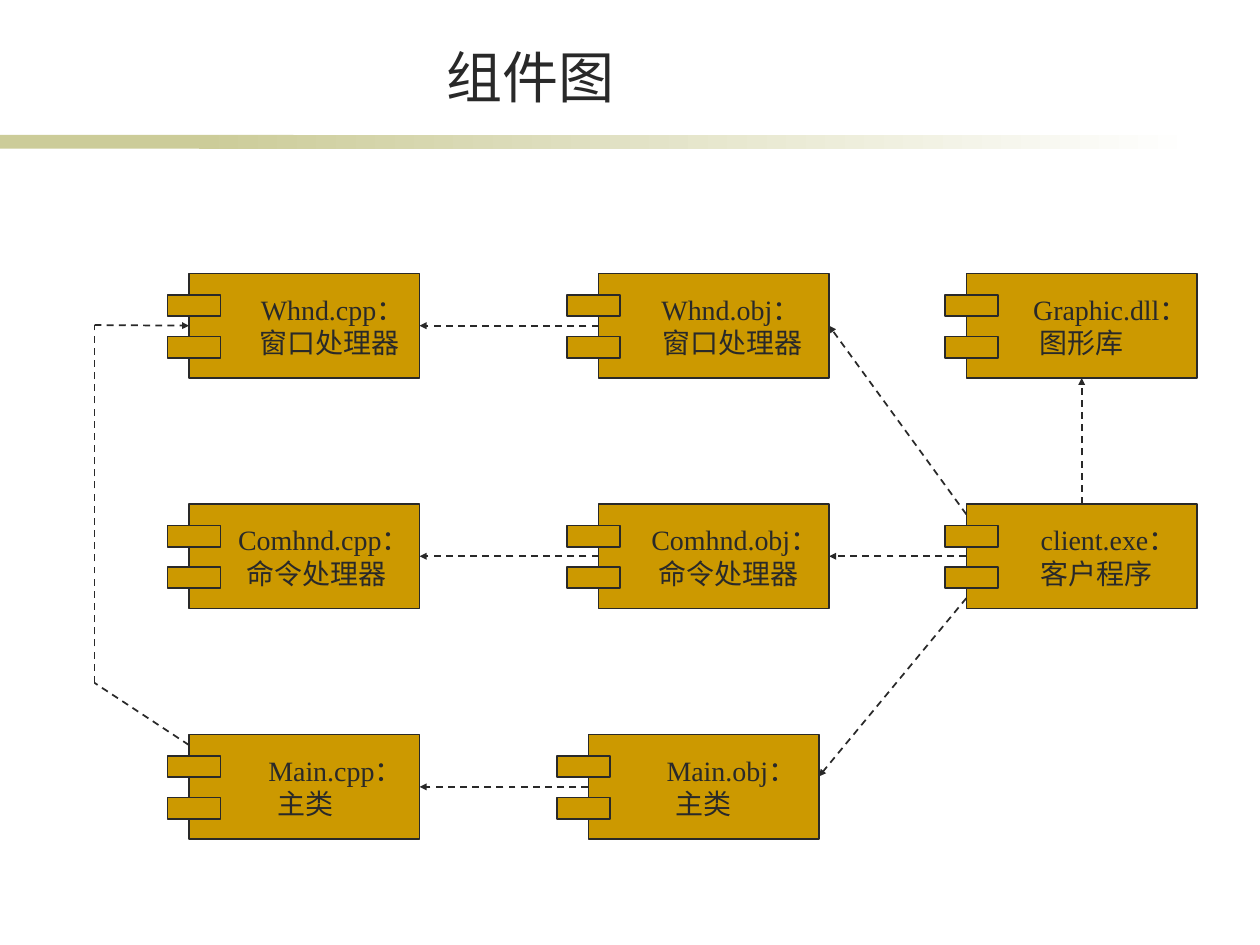
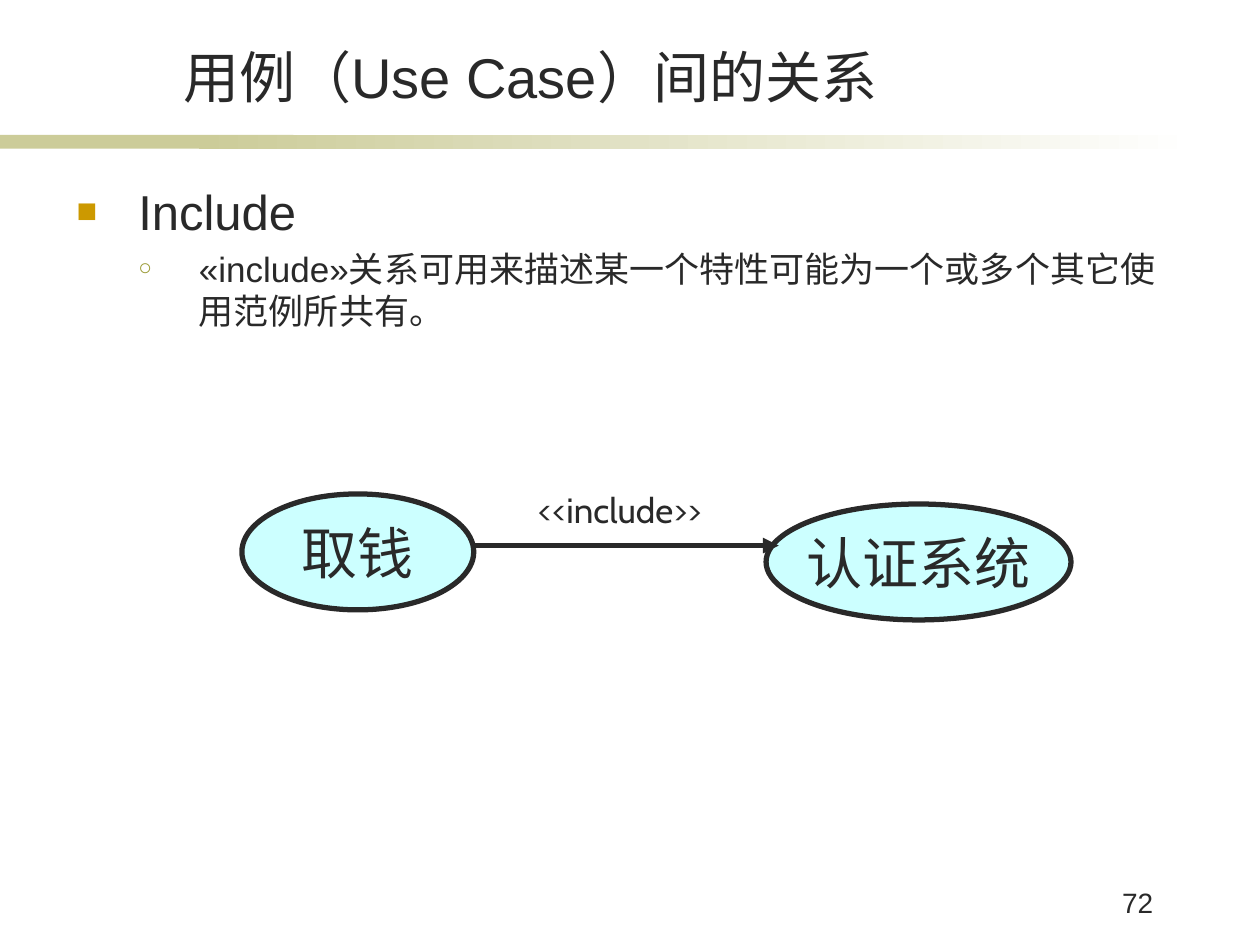
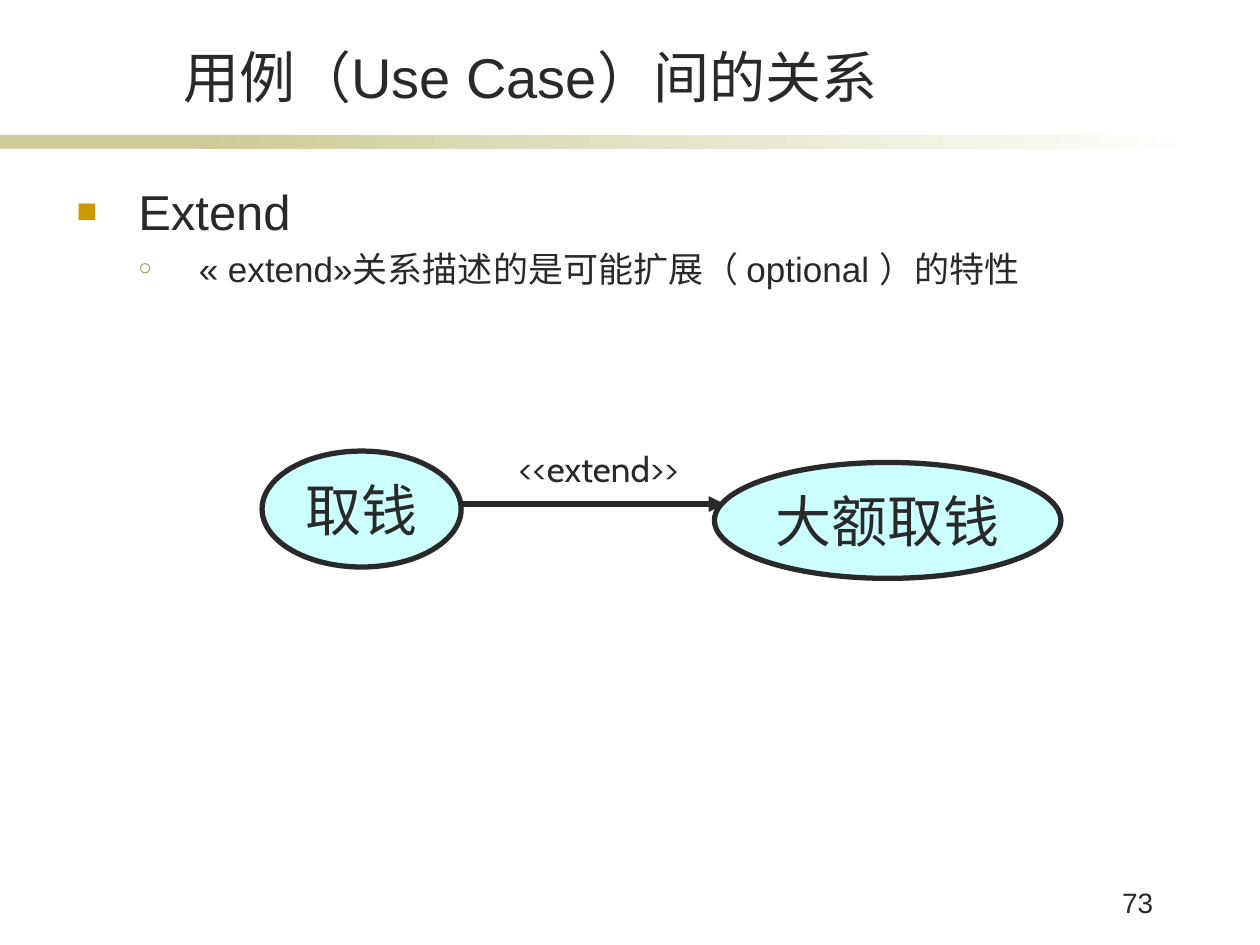
"""Build three UML slides: a component diagram and two use case relations."""
from lxml import etree
from pptx import Presentation
from pptx.dml.color import RGBColor
from pptx.enum.dml import MSO_LINE
from pptx.enum.shapes import MSO_CONNECTOR, MSO_SHAPE
from pptx.enum.text import MSO_ANCHOR, MSO_AUTO_SIZE, PP_ALIGN
from pptx.oxml.ns import qn
from pptx.util import Inches, Pt

INK, GOLD, OLIVE, SAND, CYAN, WHITE = "292929", "CC9900", "999933", "CCCC99", "CCFFFF", "FFFFFF"
SERIF, SANS, LABEL = "Times New Roman", "Arial", "Cabin"

BOX_W, BOX_H = 1.83, 0.83
TAB_W, TAB_H = 0.42, 0.17
ROWS = (2.17, 4, 5.83)

# name: (left, row, tab overhang, ((line, indent), (line, indent)))
COMPONENTS = {
    "whnd_cpp": (1.5, 0, 0.17, (("Whnd.cpp：", 0.57), ("窗口处理器", 0.56))),
    "comhnd_cpp": (1.5, 1, 0.17, (("Comhnd.cpp：", 0.39), ("命令处理器", 0.46))),
    "main_cpp": (1.5, 2, 0.17, (("Main.cpp：", 0.63), ("主类", 0.7))),
    "whnd_obj": (4.75, 0, 0.25, (("Whnd.obj：", 0.5), ("窗口处理器", 0.51))),
    "comhnd_obj": (4.75, 1, 0.25, (("Comhnd.obj：", 0.42), ("命令处理器", 0.48))),
    "main_obj": (4.67, 2, 0.25, (("Main.obj：", 0.62), ("主类", 0.69))),
    "graphic_dll": (7.67, 0, 0.17, (("Graphic.dll：", 0.53), ("图形库", 0.58))),
    "client_exe": (7.67, 1, 0.17, (("client.exe：", 0.59), ("客户程序", 0.59))),
}

LEFT, RIGHT, TOP, BOTTOM = (0, 0.5), (1, 0.5), (0.5, 0), (0.5, 1)
UPPER_LEFT, LOWER_LEFT = (0, 0.1), (0, 0.9)
DEPENDENCIES = [
    ("main_obj", LEFT, "main_cpp", RIGHT),
    ("comhnd_obj", LEFT, "comhnd_cpp", RIGHT),
    ("whnd_obj", LEFT, "whnd_cpp", RIGHT),
    ("client_exe", LEFT, "comhnd_obj", RIGHT),
    ("client_exe", TOP, "graphic_dll", BOTTOM),
    ("client_exe", LOWER_LEFT, "main_obj", (1, 0.4)),
    ("client_exe", UPPER_LEFT, "whnd_obj", RIGHT),
]
DETOUR = [(0.75, 5.42), (0.75, 2.58)]

RELATION_TITLE = "用例（Use Case）间的关系"
RELATIONS = [
    {
        "heading": "Include",
        "detail": "«include»关系可用来描述某一个特性可能为一个或多个其它使用范例所共有。",
        "page": "72",
        "cases": [("取钱", (1.92, 3.92, 1.84, 0.92)), ("认证系统", (6.08, 4, 2.42, 0.92))],
        "arrow": ((3.76, 4.33), (6.18, 4.33)),
        "label": ("<<include>>", (3.95, 3.83, 1.94, 0.43)),
    },
    {
        "heading": "Extend",
        "detail": "« extend»关系描述的是可能扩展（ optional ）的特性",
        "page": "73",
        "cases": [("取钱", (2.08, 3.58, 1.58, 0.92)), ("大额取钱", (5.67, 3.67, 2.75, 0.92))],
        "arrow": ((3.67, 4), (5.75, 4)),
        "label": ("<<extend>>", (3.5, 3.5, 2.5, 0.43)),
    },
]


def rgb(color):
    return RGBColor.from_string(color)


def add_run(p, text, size, font, align=None):
    p.alignment = align
    r = p.add_run()
    r.text = text
    r.font.size = Pt(size)
    r.font.name = font
    r.font.color.rgb = rgb(INK)


def add_box(s, kind, at, fill, line=None):
    sp = s.shapes.add_shape(kind, *map(Inches, at))
    sp.shadow.inherit = False
    sp.fill.solid()
    sp.fill.fore_color.rgb = rgb(fill)
    if line:
        sp.line.color.rgb = rgb(INK)
        sp.line.width = Pt(line)
    else:
        sp.line.fill.background()
    return sp


def add_text(s, at, text, size, font, align=None):
    tf = s.shapes.add_textbox(*map(Inches, at)).text_frame
    tf.word_wrap = True
    add_run(tf.paragraphs[0], text, size, font, align)
    return tf


def add_line(s, start, end, width, dashed=False, arrow="med"):
    cn = s.shapes.add_connector(MSO_CONNECTOR.STRAIGHT, *map(Inches, (*start, *end)))
    cn.line.color.rgb = rgb(INK)
    cn.line.width = Pt(width)
    if dashed:
        cn.line.dash_style = MSO_LINE.DASH
    if arrow:
        ln = cn._element.spPr.find(qn("a:ln"))
        etree.SubElement(ln, qn("a:tailEnd"), type="triangle", w=arrow, len=arrow)
    etree.SubElement(cn._element.spPr, qn("a:effectLst"))


def set_indent(p, left, first=0.0):
    pPr = p._p.get_or_add_pPr()
    pPr.set("marL", str(Inches(left)))
    pPr.set("indent", str(Inches(first)))
    return pPr


def set_bullet(p, char, color, percent, left, first):
    pPr = set_indent(p, left, first)
    clr = etree.SubElement(pPr, qn("a:buClr"))
    etree.SubElement(clr, qn("a:srgbClr"), val=color)
    etree.SubElement(pPr, qn("a:buSzPct"), val=str(percent * 1000))
    etree.SubElement(pPr, qn("a:buFont"), typeface=SANS)
    etree.SubElement(pPr, qn("a:buChar"), char=char)


def add_band(s, layout):
    plain = add_box(s, MSO_SHAPE.RECTANGLE, (0, 1.07, 2.33, 0.11), SAND)
    fade = add_box(s, MSO_SHAPE.RECTANGLE, (1.58, 1.07, 7.92, 0.11), SAND)
    fade.fill.gradient()
    fade.fill.gradient_angle = 0
    for stop, color, position in zip(fade.fill.gradient_stops, (SAND, WHITE), (0, 1)):
        stop.color.rgb = rgb(color)
        stop.position = position
    for sp in (plain, fade):
        layout.shapes.element.append(sp._element)


def add_slide(prs, layout, title, font):
    s = prs.slides.add_slide(layout)
    sp = s.shapes.title
    sp.left, sp.top, sp.width, sp.height = map(Inches, (1.14, 0.29, 6.14, 0.63))
    tf = sp.text_frame
    tf.auto_size = MSO_AUTO_SIZE.NONE
    tf.vertical_anchor = MSO_ANCHOR.BOTTOM
    add_run(tf.paragraphs[0], title, 32, font, PP_ALIGN.CENTER)
    return s


def anchor(name, side):
    left, row = COMPONENTS[name][:2]
    return left + side[0] * BOX_W, ROWS[row] + side[1] * BOX_H


def add_component(s, left, row, overhang, lines):
    top = ROWS[row]
    tf = add_box(s, MSO_SHAPE.RECTANGLE, (left, top, BOX_W, BOX_H), GOLD, 1).text_frame
    tf.word_wrap = True
    tf.margin_left = tf.margin_right = 0
    tf.vertical_anchor = MSO_ANCHOR.MIDDLE
    for i, (text, indent) in enumerate(lines):
        p = tf.add_paragraph() if i else tf.paragraphs[0]
        add_run(p, text, 16, SERIF, PP_ALIGN.LEFT)
        set_indent(p, indent)
    for drop in (0.17, 0.5):
        add_box(s, MSO_SHAPE.RECTANGLE, (left - overhang, top + drop, TAB_W, TAB_H), GOLD, 1)


def draw_components(s):
    for component in COMPONENTS.values():
        add_component(s, *component)
    for source, side, target, target_side in DEPENDENCIES:
        add_line(s, anchor(source, side), anchor(target, target_side), 1, True, "sm")
    route = [anchor("main_cpp", UPPER_LEFT), *DETOUR, anchor("whnd_cpp", LEFT)]
    for i, (start, end) in enumerate(zip(route, route[1:])):
        add_line(s, start, end, 1, True, "sm" if i == len(DETOUR) else None)


def draw_relation(s, relation):
    tf = add_text(s, (0.51, 1.39, 8.9, 5.04), relation["heading"], 28, SANS)
    set_bullet(tf.paragraphs[0], "■", GOLD, 70, 0.49, -0.49)
    p = tf.add_paragraph()
    add_run(p, relation["detail"], 20, SANS)
    p.space_before = Pt(4)
    set_bullet(p, "○", OLIVE, 65, 0.97, -0.48)
    add_text(s, (8.23, 6.98, 1.02, 0.39), relation["page"], 16, SANS, PP_ALIGN.RIGHT)
    for name, at in relation["cases"]:
        tf = add_box(s, MSO_SHAPE.OVAL, at, CYAN, 3).text_frame
        tf.word_wrap = False
        tf.vertical_anchor = MSO_ANCHOR.MIDDLE
        add_run(tf.paragraphs[0], name, 32, LABEL, PP_ALIGN.CENTER)
    add_line(s, *relation["arrow"], 3)
    text, at = relation["label"]
    add_text(s, at, text, 20, LABEL, PP_ALIGN.CENTER)


def main():
    prs = Presentation()
    prs.slide_width, prs.slide_height = Inches(10), Inches(7.5)
    layout = prs.slide_layouts[5]
    s = add_slide(prs, layout, "组件图", SERIF)
    add_band(s, layout)
    draw_components(s)
    for relation in RELATIONS:
        draw_relation(add_slide(prs, layout, RELATION_TITLE, SANS), relation)
    prs.save("out.pptx")


if __name__ == "__main__":
    main()
